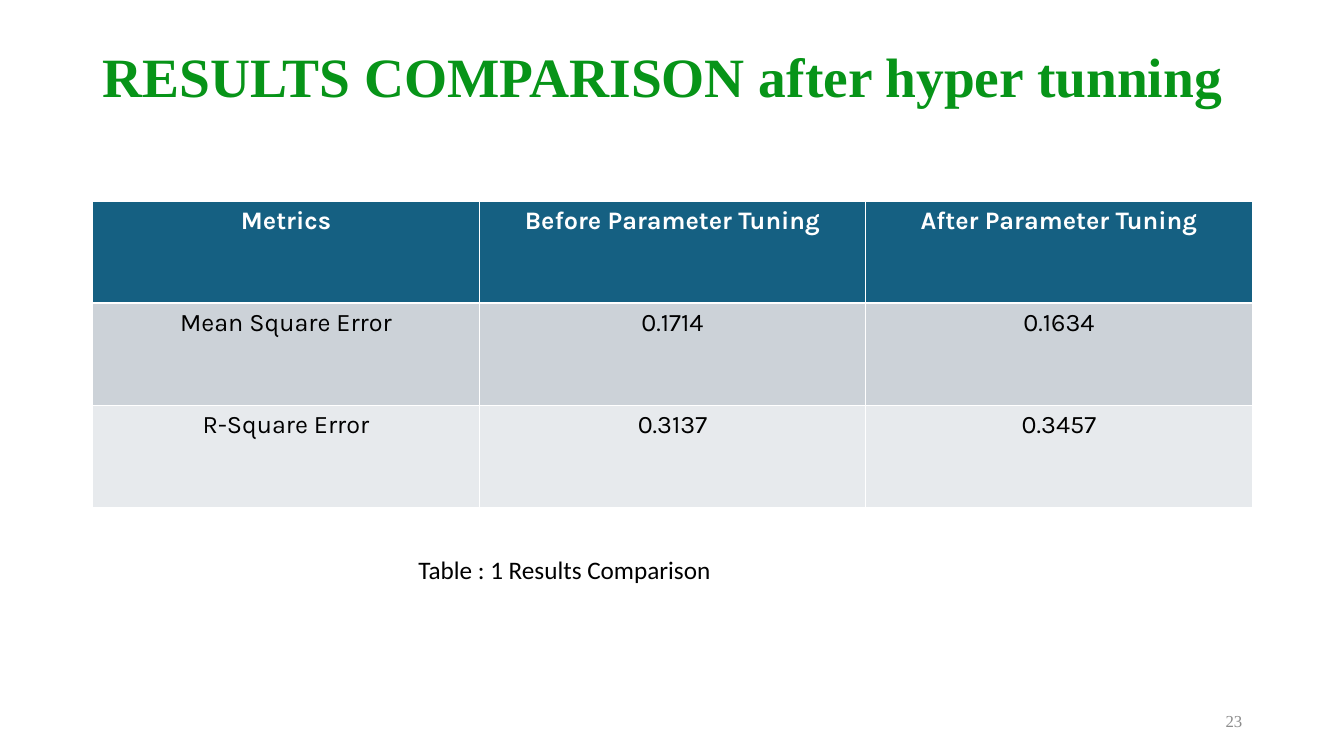
"""Build the results comparison slide."""
import pptx
import pptx.util
import pptx.dml.color
import pptx.enum.text
import pptx.oxml

Inches, Pt = pptx.util.Inches, pptx.util.Pt
Align = pptx.enum.text.PP_ALIGN
Anchor = pptx.enum.text.MSO_ANCHOR
NS = "http://schemas.openxmlformats.org/drawingml/2006/main"

TITLE = "RESULTS COMPARISON after hyper tunning"
ROWS = [
    ("Metrics", "Before Parameter Tuning", "After Parameter Tuning"),
    ("Mean Square Error", "0.1714", "0.1634"),
    ("R-Square Error", "0.3137", "0.3457"),
]
FILLS = ["156082", "CCD2D8", "E7EAED"]
NOTE = "Table : 1 Results Comparison"
PAGE = "23"


def color(code):
    return pptx.dml.color.RGBColor.from_string(code)


def write(frame, text, font, size, code, align=Align.LEFT, bold=False):
    frame.text = text
    para = frame.paragraphs[0]
    para.alignment = align
    style = para.runs[0].font
    style.name, style.size, style.bold = font, Pt(size), bold
    style.color.rgb = color(code)


def label(slide, box, anchor, *style):
    shape = slide.shapes.add_textbox(*map(Inches, box))
    frame = shape.text_frame
    frame.word_wrap = True
    frame.vertical_anchor = anchor
    write(frame, *style)


def border(cell, side, width):
    cell._tc.get_or_add_tcPr().append(pptx.oxml.parse_xml(
        f'<a:ln{side} xmlns:a="{NS}" w="{int(Pt(width))}"><a:solidFill>'
        f'<a:srgbClr val="FFFFFF"/></a:solidFill></a:ln{side}>'))


def add_grid(slide):
    size = len(ROWS), len(ROWS[0])
    box = map(Inches, (0.92, 2, 11.5, 3.03))
    table = slide.shapes.add_table(*size, *box).table
    for r, row in enumerate(ROWS):
        head = r == 0
        for c, text in enumerate(row):
            cell = table.cell(r, c)
            write(cell.text_frame, text, "Karla", 18,
                  "FFFFFF" if head else "000000", Align.CENTER, head)
            for side in "LRTB":
                thick = (r, side) in ((0, "B"), (1, "T"))
                border(cell, side, 1.58 if thick else 0.75)
            cell.fill.solid()
            cell.fill.fore_color.rgb = color(FILLS[r])


def main():
    deck = pptx.Presentation()
    deck.slide_width, deck.slide_height = Inches(13.33), Inches(7.5)
    slide = deck.slides.add_slide(deck.slide_layouts[5])
    title = slide.shapes.title
    title.left, title.top = Inches(0.92), Inches(0.37)
    title.width, title.height = Inches(11.68), Inches(0.83)
    frame = title.text_frame
    frame.auto_size = pptx.enum.text.MSO_AUTO_SIZE.NONE
    frame.vertical_anchor = Anchor.MIDDLE
    write(frame, TITLE, "Times New Roman", 39.6, "079418", bold=True)
    frame.paragraphs[0].line_spacing = 0.9
    label(slide, (9.42, 6.95, 3, 0.4), Anchor.MIDDLE,
          PAGE, "Times New Roman", 12, "8C8C8C", Align.RIGHT)
    add_grid(slide)
    label(slide, (4.05, 5.45, 5.69, 0.4), Anchor.TOP,
          NOTE, "Calibri", 18, "000000")
    deck.save("out.pptx")


if __name__ == "__main__":
    main()
